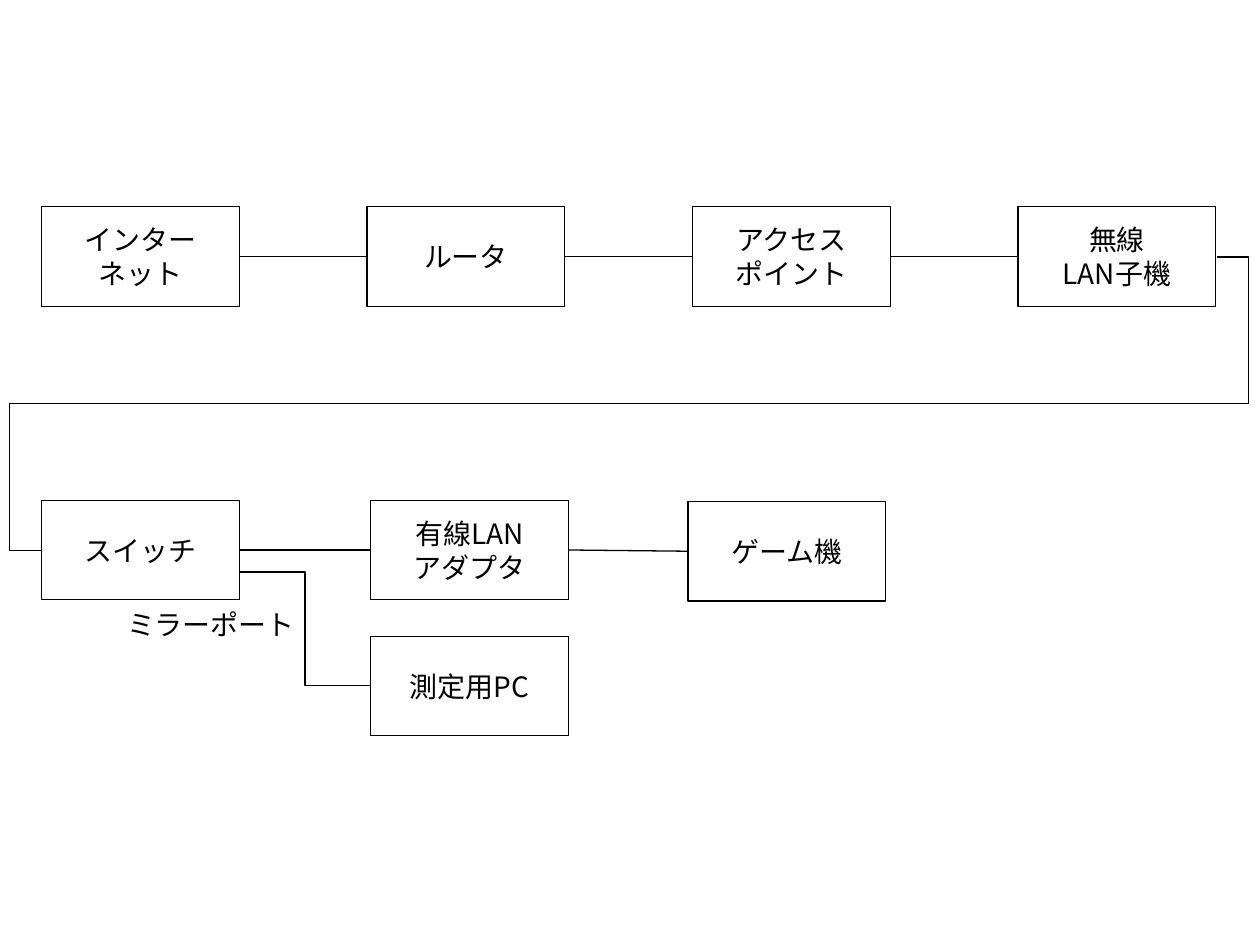
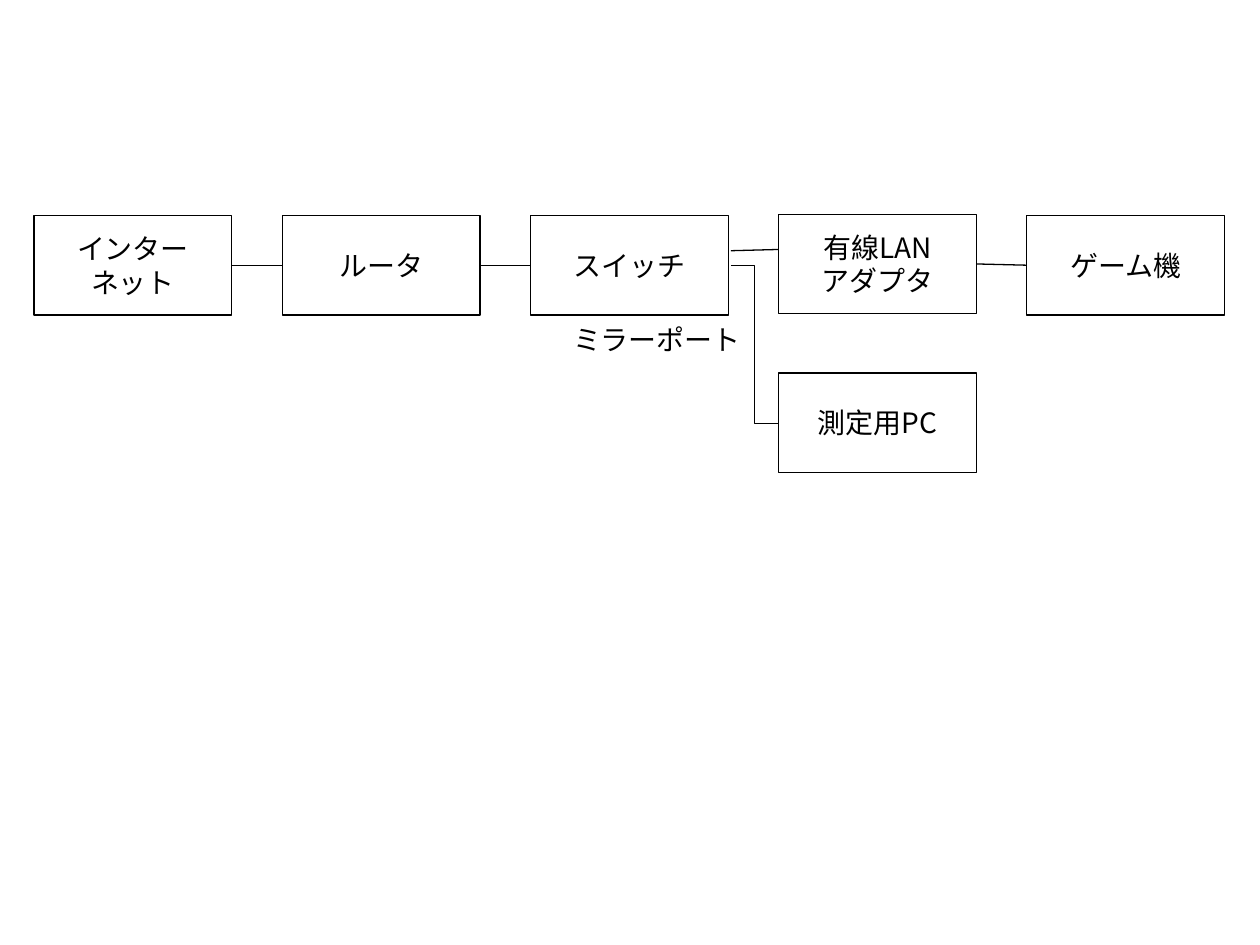
import pptx
import pptx.dml.color
import pptx.enum.shapes
import pptx.enum.text
import pptx.oxml
import pptx.oxml.ns
import pptx.util
from pptx.util import Inches

COLORS = {"ink": "000000"}
FONT = "Noto Sans CJK JP"
INK = pptx.dml.color.RGBColor.from_string(COLORS["ink"])
NODE_W, NODE_H = 1.57, 0.79
LEFT_SITE, RIGHT_SITE = 1, 3
STRAIGHT = pptx.enum.shapes.MSO_CONNECTOR.STRAIGHT
ELBOW = pptx.enum.shapes.MSO_CONNECTOR.ELBOW
MIRROR_PORT = "ミラーポート"


def write_text(shape, text, align):
    frame = shape.text_frame
    frame.text = text
    frame.word_wrap = False
    frame.vertical_anchor = pptx.enum.text.MSO_ANCHOR.MIDDLE
    for paragraph in frame.paragraphs:
        paragraph.alignment = align
        for run in paragraph.runs:
            run.font.size = pptx.util.Pt(16)
            run.font.name = FONT
            run.font.color.rgb = INK
            east_asian = pptx.oxml.parse_xml(
                f'<a:ea {pptx.oxml.ns.nsdecls("a")} typeface="{FONT}"/>')
            run.font._element.find(pptx.oxml.ns.qn("a:latin")).addnext(east_asian)


def add_link(slide, kind, start, end):
    link = slide.shapes.add_connector(kind, *map(Inches, start + end))
    link.line.color.rgb = INK
    link.line.width = pptx.util.Pt(0.75)
    link._element.spPr.append(
        pptx.oxml.parse_xml(f'<a:effectLst {pptx.oxml.ns.nsdecls("a")}/>'))
    return link


# Node positions: evenly spaced rows
wireless_xs = [0.33 + i * (8.08 - 0.33) / 3 for i in range(4)]
wired_xs = [0.27 + i * 1.97 for i in range(5)]

# Each diagram: nodes, links between node centres, free links, mirror port label
diagrams = [
    {
        "nodes": {
            "インター\nネット": (wireless_xs[0], 1.64),
            "ルータ": (wireless_xs[1], 1.64),
            "アクセス\nポイント": (wireless_xs[2], 1.64),
            "無線\nLAN子機": (wireless_xs[3], 1.64),
            "スイッチ": (0.33, 3.97),
            "有線LAN\nアダプタ": (2.94, 3.97),
            "ゲーム機": (5.46, 3.98),
            "測定用PC": (2.94, 5.05),
        },
        "chains": [
            ["インター\nネット", "ルータ", "アクセス\nポイント", "無線\nLAN子機"],
            ["スイッチ", "有線LAN\nアダプタ", "ゲーム機"],
        ],
        "free_links": [(ELBOW, (1.9, 4.54), (2.94, 5.44))],
        "mirror_port": (0.91, 4.77),
    },
    {
        "nodes": {
            "インター\nネット": (wired_xs[0], 1.71),
            "ルータ": (wired_xs[1], 1.71),
            "スイッチ": (wired_xs[2], 1.71),
            "有線LAN\nアダプタ": (wired_xs[3], 1.7),
            "ゲーム機": (wired_xs[4], 1.71),
            "測定用PC": (wired_xs[3], 2.96),
        },
        "chains": [
            ["インター\nネット", "ルータ", "スイッチ"],
            ["有線LAN\nアダプタ", "ゲーム機"],
        ],
        "free_links": [
            (STRAIGHT, (5.8, 1.99), (6.18, 1.98)),
            (ELBOW, (5.8, 2.11), (6.18, 3.36)),
        ],
        "mirror_port": (4.45, 2.51),
    },
]

prs = pptx.Presentation()
prs.slide_width, prs.slide_height = Inches(10), Inches(7.5)
slides = []

for diagram in diagrams:
    slide = prs.slides.add_slide(prs.slide_layouts[6])
    slides.append(slide)

    # Device boxes
    devices = {}
    for label, (x, y) in diagram["nodes"].items():
        device = slide.shapes.add_shape(
            pptx.enum.shapes.MSO_SHAPE.RECTANGLE,
            Inches(x), Inches(y), Inches(NODE_W), Inches(NODE_H))
        device.shadow.inherit = False
        device.fill.background()
        device.line.color.rgb = INK
        device.line.width = pptx.util.Pt(0.75)
        write_text(device, label, pptx.enum.text.PP_ALIGN.CENTER)
        frame = device.text_frame
        frame.margin_left = frame.margin_right = Inches(0.39)
        frame.margin_top = frame.margin_bottom = 0
        devices[label] = device

    # Cables along each chain, attached to the boxes
    for chain in diagram["chains"]:
        for near, far in zip(chain, chain[1:]):
            cable = add_link(slide, STRAIGHT, (0, 0), (1, 1))
            cable.begin_connect(devices[near], RIGHT_SITE)
            cable.end_connect(devices[far], LEFT_SITE)

    # Cables that leave a box off its centre
    for kind, start, end in diagram["free_links"]:
        add_link(slide, kind, start, end)

    # Mirror port label
    x, y = diagram["mirror_port"]
    mirror_port = slide.shapes.add_textbox(
        Inches(x), Inches(y), Inches(1.55), Inches(0.37))
    write_text(mirror_port, MIRROR_PORT, pptx.enum.text.PP_ALIGN.LEFT)
    mirror_port.text_frame.auto_size = pptx.enum.text.MSO_AUTO_SIZE.SHAPE_TO_FIT_TEXT

# Cable wrapping from the end of the wireless row to the switch row
row_wrap = add_link(slides[0], ELBOW, (9.66, 2.04), (0.33, 4.37))
geometry = row_wrap._element.spPr.find(pptx.oxml.ns.qn("a:prstGeom"))
geometry.set("prst", "bentConnector5")
for old_adjustments in list(geometry):
    geometry.remove(old_adjustments)
guides = "".join(f'<a:gd name="adj{i}" fmla="val {value}"/>'
                 for i, value in enumerate((-2700, 50000, 102700), start=1))
geometry.append(pptx.oxml.parse_xml(
    f'<a:avLst {pptx.oxml.ns.nsdecls("a")}>{guides}</a:avLst>'))

prs.save("out.pptx")
